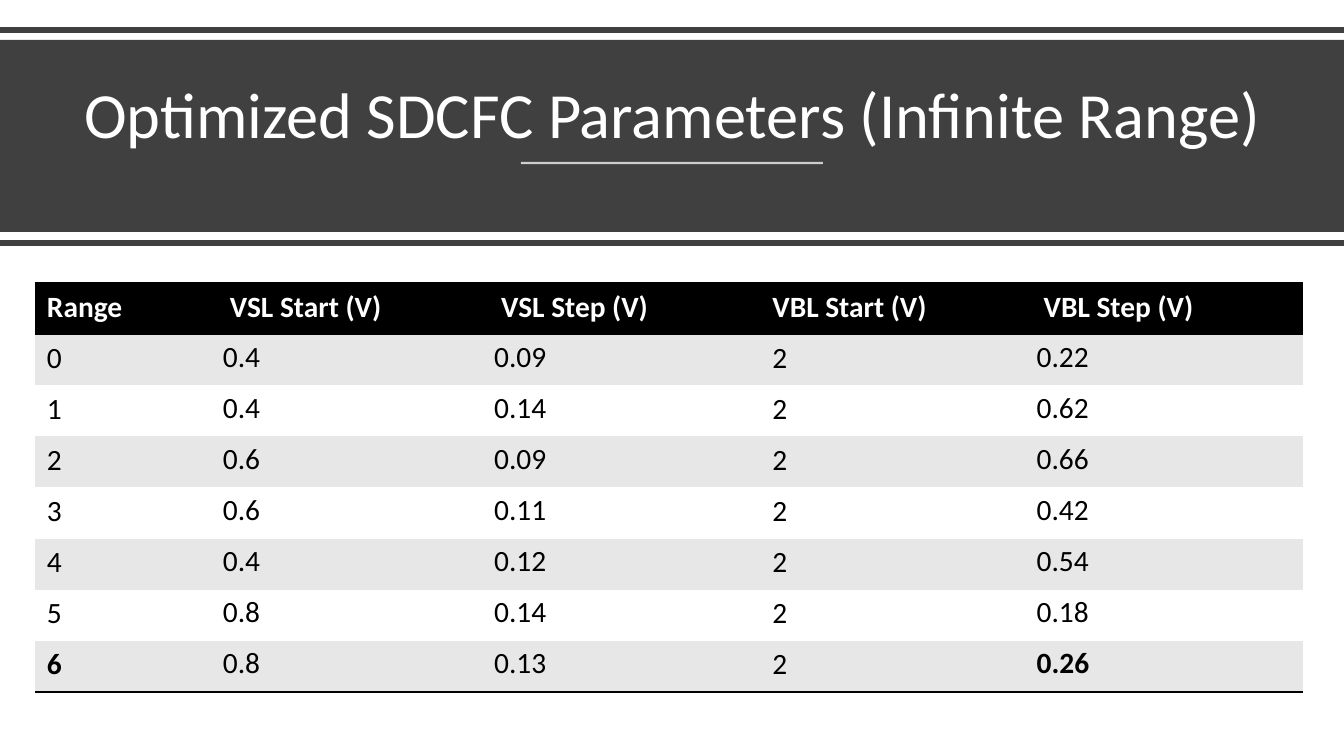
from lxml.etree import SubElement
from pptx import Presentation
from pptx.dml.color import RGBColor
from pptx.enum.shapes import MSO_CONNECTOR, MSO_SHAPE
from pptx.enum.text import MSO_ANCHOR, MSO_AUTO_SIZE, PP_ALIGN
from pptx.oxml.ns import qn
from pptx.util import Emu, Pt

BLACK = RGBColor(0x00, 0x00, 0x00)
WHITE = RGBColor(0xFF, 0xFF, 0xFF)
DARK = RGBColor(0x40, 0x40, 0x40)
GREY = RGBColor(0xE7, 0xE7, 0xE7)
FACE = "Calibri"
PLAIN = "{2D5ABB26-0587-4C30-8999-92F81FD0307C}"  # no style, no grid
WIDE, HIGH = 1344, 756

TITLE = "Optimized SDCFC Parameters (Infinite Range)"
HEADS = ["Range", "VSL Start (V)", "VSL Step (V)", "VBL Start (V)", "VBL Step (V)"]
ROWS = [
    ["0", "0.4", "0.09", "2", "0.22"],
    ["1", "0.4", "0.14", "2", "0.62"],
    ["2", "0.6", "0.09", "2", "0.66"],
    ["3", "0.6", "0.11", "2", "0.42"],
    ["4", "0.4", "0.12", "2", "0.54"],
    ["5", "0.8", "0.14", "2", "0.18"],
    ["6", "0.8", "0.13", "2", "0.26"],
]
BOLD = {(7, 0), (7, 4)}


def px(num):
    return Emu(round(num * 914400 / 100.8))


def apply(item, form):
    """Set each attribute named in form on item."""
    for name, value in form.items():
        setattr(item, name, value)


def style(para, size, color, bold=False):
    apply(para.font, {"name": FACE, "size": Pt(size), "bold": bold})
    para.font.color.rgb = color


def rule(slide, left, top, width, color, weight, alpha=None):
    """Draw a level line, with its opacity in percent if given."""
    line = slide.shapes.add_connector(
        MSO_CONNECTOR.STRAIGHT, px(left), px(top), px(left + width), px(top))
    line.line.color.rgb = color
    line.line.width = Pt(weight)
    props = line._element.spPr
    SubElement(props, qn("a:effectLst"))
    if alpha:
        tint = props.find(".//" + qn("a:srgbClr"))
        SubElement(tint, qn("a:alpha"), val=str(alpha * 1000))


def banner(slide, left, top, width, height):
    rule(slide, left, top - 10, width, DARK, 4)
    band = slide.shapes.add_shape(
        MSO_SHAPE.RECTANGLE, px(left), px(top), px(width), px(height))
    band.shadow.inherit = False
    band.fill.solid()
    band.fill.fore_color.rgb = DARK
    band.line.fill.background()

    title = slide.shapes.title
    band._element.addnext(title._element)
    apply(title, {"left": px(left + 58), "top": px(top + 14),
                  "width": px(width - 116), "height": px(103)})
    frame = title.text_frame
    frame.text = TITLE
    apply(frame, {"word_wrap": True, "auto_size": MSO_AUTO_SIZE.NONE,
                  "vertical_anchor": MSO_ANCHOR.BOTTOM})
    para = frame.paragraphs[0]
    apply(para, {"alignment": PP_ALIGN.CENTER, "line_spacing": 0.9})
    style(para, 46, WHITE)

    rule(slide, left + (width - 302) // 2, top + 123, 302, WHITE, 1.5, 75)
    rule(slide, left, top + height + 11, width, DARK, 4)


def border(cell, sides):
    """Put black edges on the given sides, below the fill in the cell's XML order."""
    props = cell._tc.get_or_add_tcPr()
    for spot, side in enumerate(sides):
        edge = props.makeelement(qn("a:ln" + side), {"w": str(Pt(2))})
        fill = SubElement(edge, qn("a:solidFill"))
        SubElement(fill, qn("a:srgbClr"), val=str(BLACK))
        props.insert(spot, edge)


def grid(slide, left, top, width, height):
    data = [HEADS] + ROWS
    last = len(data) - 1
    frame = slide.shapes.add_table(
        len(data), len(HEADS), px(left), px(top), px(width), px(height))
    table = frame.table
    table._tbl.tblPr.find(qn("a:tableStyleId")).text = PLAIN
    first = 183
    for col, part in enumerate(table.columns):
        part.width = px((width - first) / (len(HEADS) - 1) if col else first)
    for row, part in enumerate(table.rows):
        part.height = px(height / len(data))
        for col, text in enumerate(data[row]):
            cell = table.cell(row, col)
            cell.text = text
            roomy = row == 0 or col in (0, 3)
            side, edge = (px(12), px(6)) if roomy else (px(5), px(5))
            apply(cell, {"margin_left": side, "margin_right": side,
                         "margin_top": edge, "margin_bottom": edge})
            cell.fill.solid()
            cell.fill.fore_color.rgb = BLACK if row == 0 else GREY if row % 2 else WHITE
            style(cell.text_frame.paragraphs[0], 21, BLACK if row else WHITE,
                  row == 0 or (row, col) in BOLD)
            border(cell, {0: "TB", last: "B"}.get(row, ""))


def main():
    deck = Presentation()
    apply(deck, {"slide_width": px(WIDE), "slide_height": px(HIGH)})
    slide = deck.slides.add_slide(deck.slide_layouts[5])
    banner(slide, 0, 40, WIDE, 192)
    grid(slide, 35, 283, 1268, 409)
    deck.save("out.pptx")


if __name__ == "__main__":
    main()
